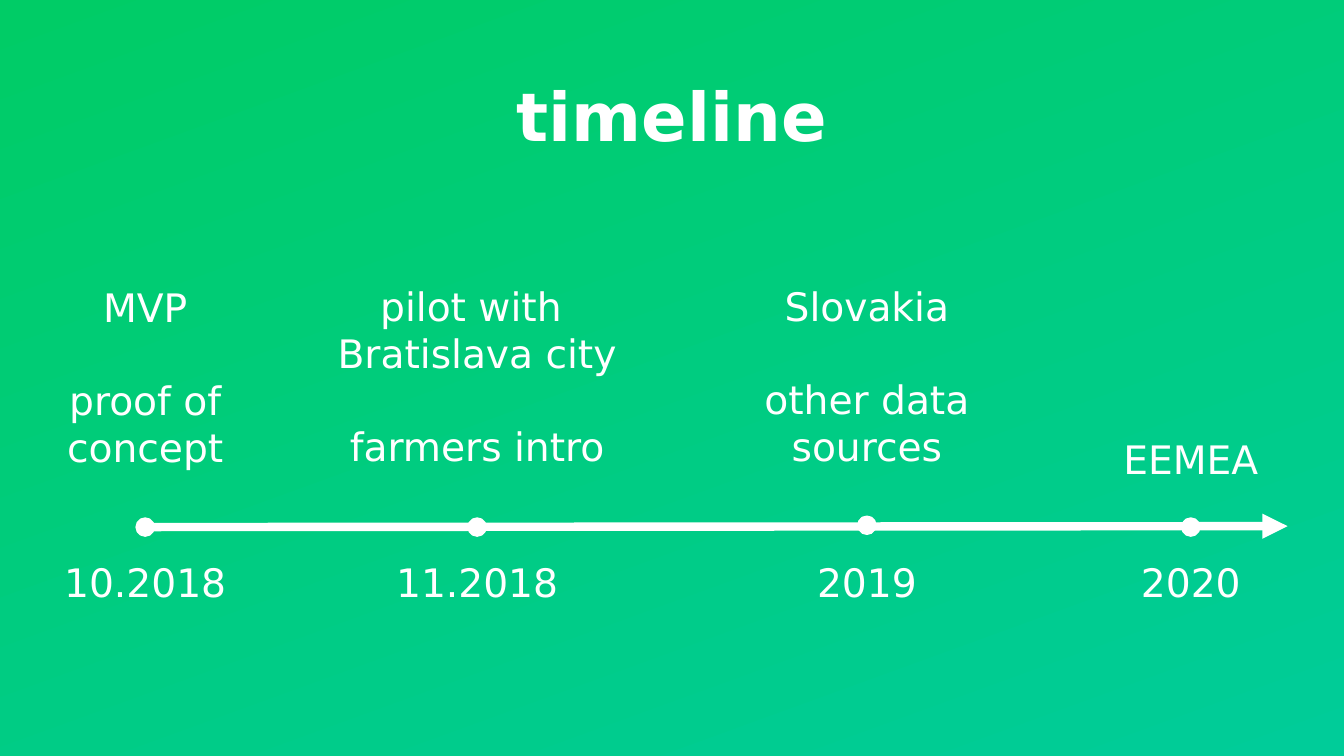
from collections import namedtuple

from lxml.etree import SubElement
from pptx import Presentation
from pptx.dml.color import RGBColor
from pptx.enum.shapes import MSO_CONNECTOR, MSO_SHAPE
from pptx.enum.text import MSO_ANCHOR, MSO_AUTO_SIZE, PP_ALIGN
from pptx.oxml.ns import qn
from pptx.util import Inches, Pt

WHITE = RGBColor(0xFF, 0xFF, 0xFF)
GREEN = RGBColor(0x00, 0xCC, 0x66)
TEAL = RGBColor(0x00, 0xCC, 0x99)

SLIDE_WIDTH, SLIDE_HEIGHT = Inches(13.33), Inches(7.5)
TITLE_FORMAT = {"name": "DejaVu Sans", "size": Pt(48), "bold": True}
LABEL_FORMAT = {"name": "DejaVu Sans", "size": Pt(28)}
FRAME_FORMAT = {
    "word_wrap": False,
    "auto_size": MSO_AUTO_SIZE.SHAPE_TO_FIT_TEXT,
    "vertical_anchor": MSO_ANCHOR.TOP,
}
BLANK_LINE = Pt(33)
DOT_SIZE = Inches(0.18)

# Shares of the timeline region, in percent
LINE_START, LINE_END = (10.8, 66.2), (95.8, 66)
DATE_TOP = 72
TEXT_LINE, TEXT_INSETS = 10.5, 2.2

Box = namedtuple("Box", "left top width height")
Milestone = namedtuple(
    "Milestone", "centre dot_y date date_width notes note_width note_bottom")

MILESTONES = [
    Milestone(10.8, 66.2, "10.2018", 13.8,
              ["MVP", "proof of\nconcept"], 13.2, 55.5),
    Milestone(35.5, 66.2, "11.2018", 13.8,
              ["pilot with \nBratislava city", "farmers intro"], 22.4, 55.3),
    Milestone(64.5, 65.8, "2019", 9,
              ["Slovakia", "other data\nsources"], 17, 55.3),
    Milestone(88.6, 66.2, "2020", 9, ["EEMEA"], 11.6, 57.6),
]


def share(box, x, y, width=0, height=0):
    """Turn percentages of a box into a box in slide lengths."""
    return Box(
        int(box.left + box.width * x / 100),
        int(box.top + box.height * y / 100),
        int(box.width * width / 100),
        int(box.height * height / 100),
    )


def apply_format(target, values):
    for attribute, value in values.items():
        setattr(target, attribute, value)


def write(frame, paragraphs, font_format):
    """Fill a frame with centred paragraphs, one blank line apart."""
    apply_format(frame, FRAME_FORMAT)
    for index, content in enumerate(paragraphs):
        paragraph = frame.add_paragraph() if index else frame.paragraphs[0]
        paragraph.text = content
        paragraph.alignment = PP_ALIGN.CENTER
        if index:
            paragraph.space_before = BLANK_LINE
        apply_format(paragraph.font, font_format)
        paragraph.font.color.rgb = WHITE


def paint_background(slide):
    fill = slide.background.fill
    fill.gradient()
    fill.gradient_angle = 290
    for stop, color in zip(fill.gradient_stops, (GREEN, TEAL)):
        stop.color.rgb = color


def add_title(slide, box):
    title = slide.shapes.title
    apply_format(title, box._asdict())
    write(title.text_frame, ["timeline"], TITLE_FORMAT)


def add_arrow(slide, box):
    start, end = share(box, *LINE_START), share(box, *LINE_END)
    arrow = slide.shapes.add_connector(
        MSO_CONNECTOR.STRAIGHT, start.left, start.top, end.left, end.top)
    arrow.line.color.rgb = WHITE
    arrow.line.width = Pt(6)
    SubElement(arrow.line._get_or_add_ln(), qn("a:tailEnd"), type="triangle")
    SubElement(arrow._element.spPr, qn("a:effectLst"))


def add_label(slide, box, centre, top, width, paragraphs, height):
    area = share(box, centre - width / 2, top, width, height)
    label = slide.shapes.add_textbox(*area)
    write(label.text_frame, paragraphs, LABEL_FORMAT)


def add_milestone(slide, box, milestone):
    centre = milestone.centre
    spot = share(box, centre, milestone.dot_y)
    dot = slide.shapes.add_shape(
        MSO_SHAPE.OVAL, spot.left - DOT_SIZE // 2, spot.top - DOT_SIZE // 2,
        DOT_SIZE, DOT_SIZE)
    dot.shadow.inherit = False
    dot.fill.solid()
    dot.fill.fore_color.rgb = WHITE
    dot.line.color.rgb = WHITE
    dot.line.width = Pt(1)

    line_count = len("\n\n".join(milestone.notes).split("\n"))
    note_height = line_count * TEXT_LINE + TEXT_INSETS
    add_label(slide, box, centre, milestone.note_bottom - note_height,
              milestone.note_width, milestone.notes, note_height)
    add_label(slide, box, centre, DATE_TOP, milestone.date_width,
              [milestone.date], TEXT_LINE + TEXT_INSETS)


def add_timeline(slide, box):
    add_arrow(slide, box)
    for milestone in MILESTONES:
        add_milestone(slide, box, milestone)


def main():
    presentation = Presentation()
    presentation.slide_width = SLIDE_WIDTH
    presentation.slide_height = SLIDE_HEIGHT
    slide = presentation.slides.add_slide(presentation.slide_layouts[5])
    page = Box(0, 0, SLIDE_WIDTH, SLIDE_HEIGHT)
    paint_background(slide)
    add_title(slide, share(page, 37.7, 9.2, 24.6, 12.1))
    add_timeline(slide, share(page, 0, 30, 100, 60))
    presentation.save("out.pptx")


if __name__ == "__main__":
    main()
